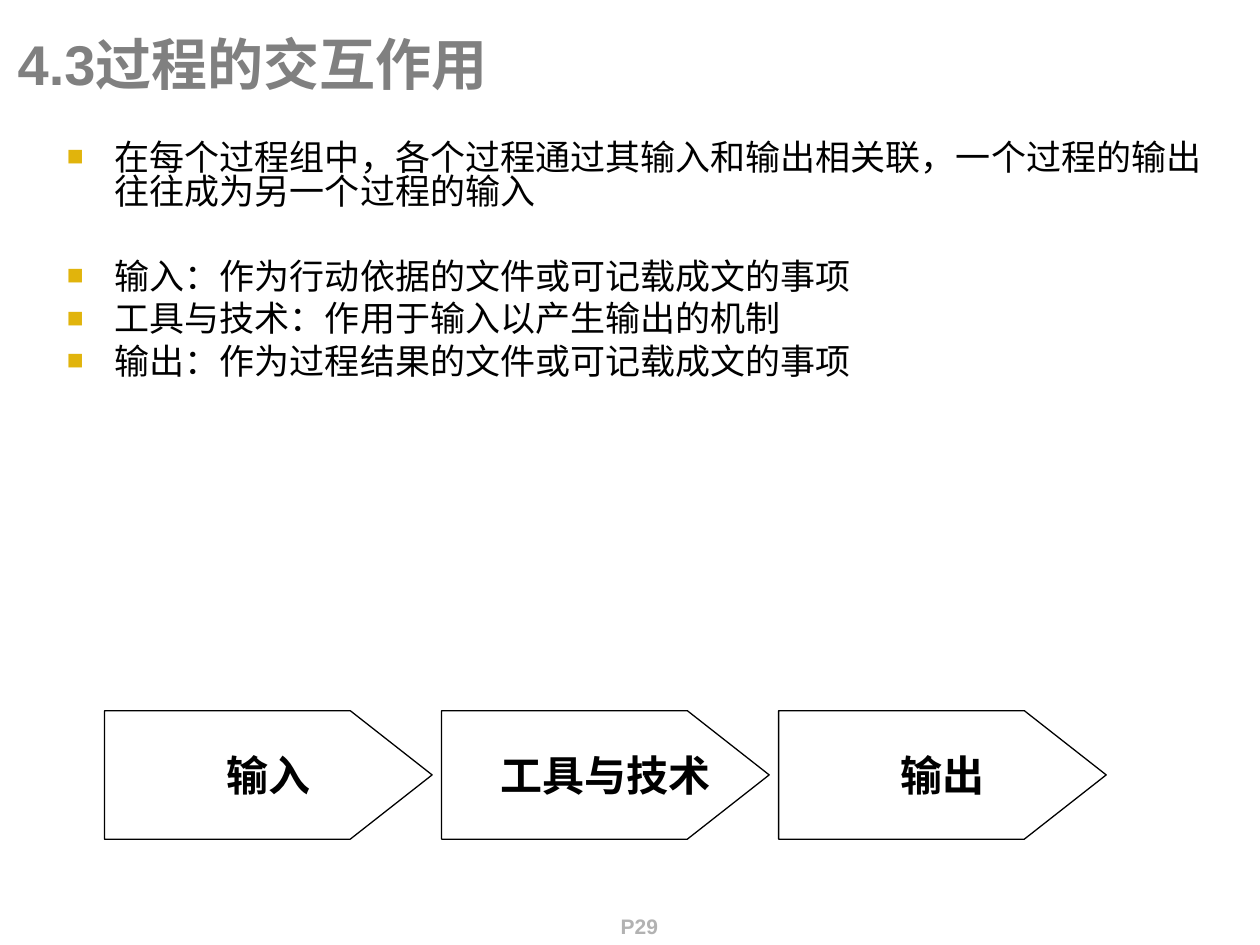
"""Build the slide on how processes interact."""
import pptx
import pptx.dml.color
import pptx.enum.text
import pptx.oxml
import pptx.oxml.ns
import pptx.util

Inches, Pt = pptx.util.Inches, pptx.util.Pt
ALIGN, ANCHOR = pptx.enum.text.PP_ALIGN, pptx.enum.text.MSO_ANCHOR

TITLE = "4.3过程的交互作用"
POINTS = [
    ("在每个过程组中，各个过程通过其输入和输出相关联，一个过程的输出往往成为另一个过程的输入", 0),
    ("输入：作为行动依据的文件或可记载成文的事项", 29.5),
    ("工具与技术：作用于输入以产生输出的机制", 5),
    ("输出：作为过程结果的文件或可记载成文的事项", 5),
]
STAGES = ["输入", "工具与技术", "输出"]
PAGE = "P29"

THEME = {
    "font": "Arial", "title": "808080", "ink": "000000", "page": "B2B2B2", "bullet": "E1B40C",
    "title_size": 32, "body_size": 20, "stage_size": 24, "page_size": 12,
}
STAGE_LEFT, STAGE_TOP, STAGE_PITCH = 0.83, 5.64, 2.675
STAGE_WIDTH, STAGE_HEIGHT, TIP = 2.6, 1.02, 0.65


def rgb(key):
    return pptx.dml.color.RGBColor.from_string(THEME[key])


def write(paragraph, text, size, color="ink", bold=False, align=ALIGN.LEFT,
          before=0, spacing=1.0, bullet=False):
    paragraph.text = text
    paragraph.alignment = align
    paragraph.space_before = Pt(before)
    paragraph.line_spacing = spacing
    if bullet:
        properties = paragraph._p.get_or_add_pPr()
        properties.set("marL", str(Inches(0.38)))
        properties.set("indent", str(-Inches(0.38)))
        for mark in (f'<a:buClr {{}}><a:srgbClr val="{THEME["bullet"]}"/></a:buClr>',
                     '<a:buSzPct {} val="80000"/>',
                     f'<a:buFont {{}} typeface="{THEME["font"]}"/>',
                     '<a:buChar {} char="■"/>'):
            properties.append(pptx.oxml.parse_xml(mark.format(pptx.oxml.ns.nsdecls("a"))))
    font = paragraph.runs[0].font
    font.name, font.size, font.bold = THEME["font"], Pt(THEME[size]), bold
    font.color.rgb = rgb(color)


def place(shape, left, top, width, height, anchor):
    shape.left, shape.top = Inches(left), Inches(top)
    shape.width, shape.height = Inches(width), Inches(height)
    frame = shape.text_frame
    frame.word_wrap = True
    frame.auto_size = pptx.enum.text.MSO_AUTO_SIZE.NONE
    frame.vertical_anchor = anchor
    return frame


def add_stage(slide, left, label):
    right, bottom = left + STAGE_WIDTH, STAGE_TOP + STAGE_HEIGHT
    outline = [(right - TIP, STAGE_TOP), (right, STAGE_TOP + STAGE_HEIGHT / 2),
               (right - TIP, bottom), (left, bottom)]
    builder = slide.shapes.build_freeform(Inches(left), Inches(STAGE_TOP))
    builder.add_line_segments([(Inches(x), Inches(y)) for x, y in outline], close=True)
    stage = builder.convert_to_shape()
    stage.shadow.inherit = False
    stage.fill.background()
    stage.line.color.rgb = rgb("ink")
    stage.line.width = Pt(0.75)
    stage.text_frame.word_wrap = False
    stage.text_frame.vertical_anchor = ANCHOR.MIDDLE
    write(stage.text_frame.paragraphs[0], label, "stage_size", bold=True, align=ALIGN.CENTER)


def main():
    deck = pptx.Presentation()
    deck.slide_width, deck.slide_height = Inches(10), Inches(7.5)
    slide = deck.slides.add_slide(deck.slide_layouts[1])

    heading = place(slide.shapes.title, 0.04, 0.17, 9.96, 0.66, ANCHOR.MIDDLE)
    write(heading.paragraphs[0], TITLE, "title_size", "title", bold=True)

    points = place(slide.placeholders[1], 0.43, 1.09, 9.21, 3.45, ANCHOR.TOP)
    for index, (point, before) in enumerate(POINTS):
        paragraph = points.add_paragraph() if index else points.paragraphs[0]
        write(paragraph, point, "body_size", before=before, spacing=0.8, bullet=True)

    for index, label in enumerate(STAGES):
        add_stage(slide, STAGE_LEFT + index * STAGE_PITCH, label)

    page_box = slide.shapes.add_textbox(0, 0, 0, 0)
    page = place(page_box, 4.76, 7.2, 0.63, 0.33, ANCHOR.TOP)
    write(page.paragraphs[0], PAGE, "page_size", "page", bold=True, align=ALIGN.CENTER)

    deck.save("out.pptx")


if __name__ == "__main__":
    main()
